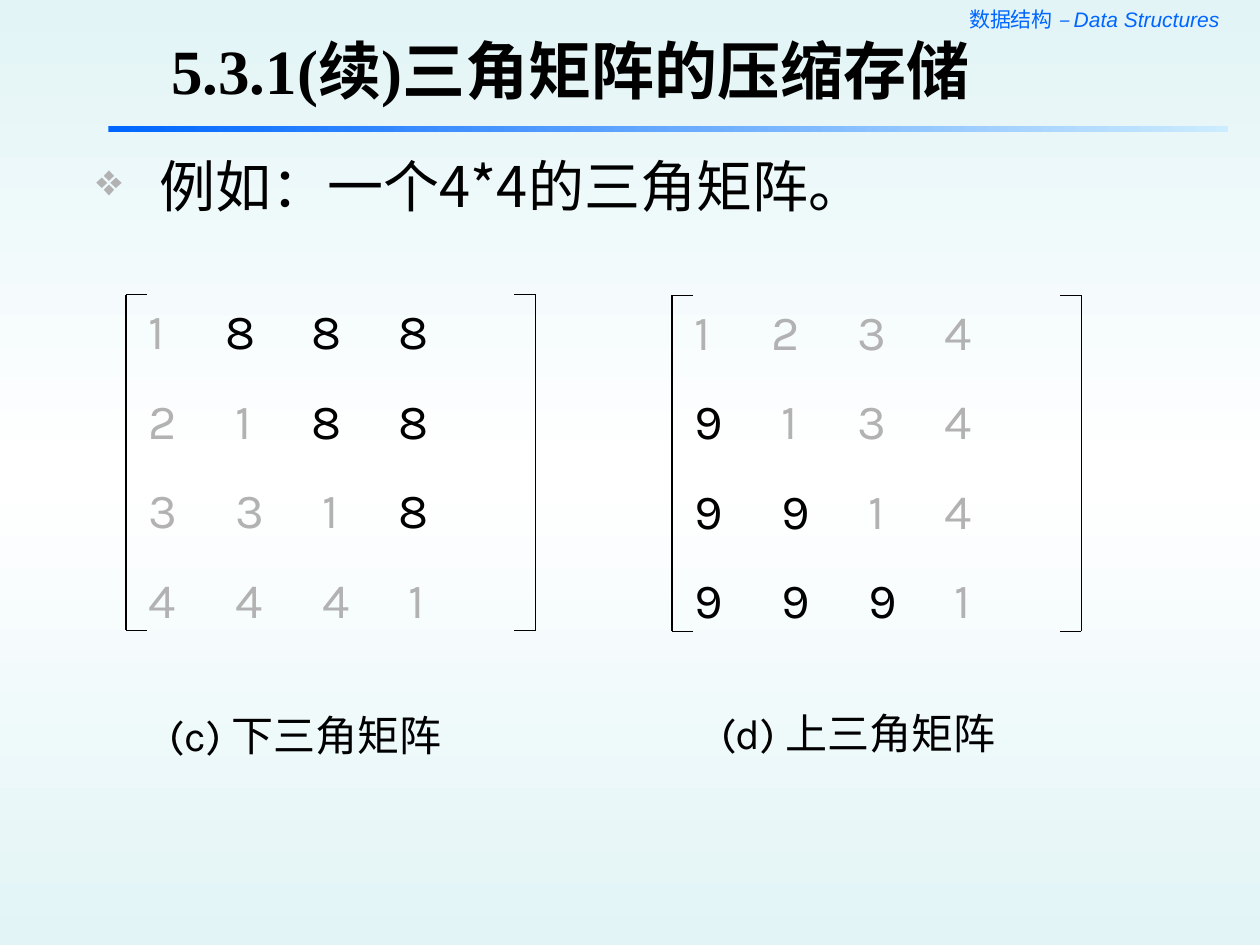
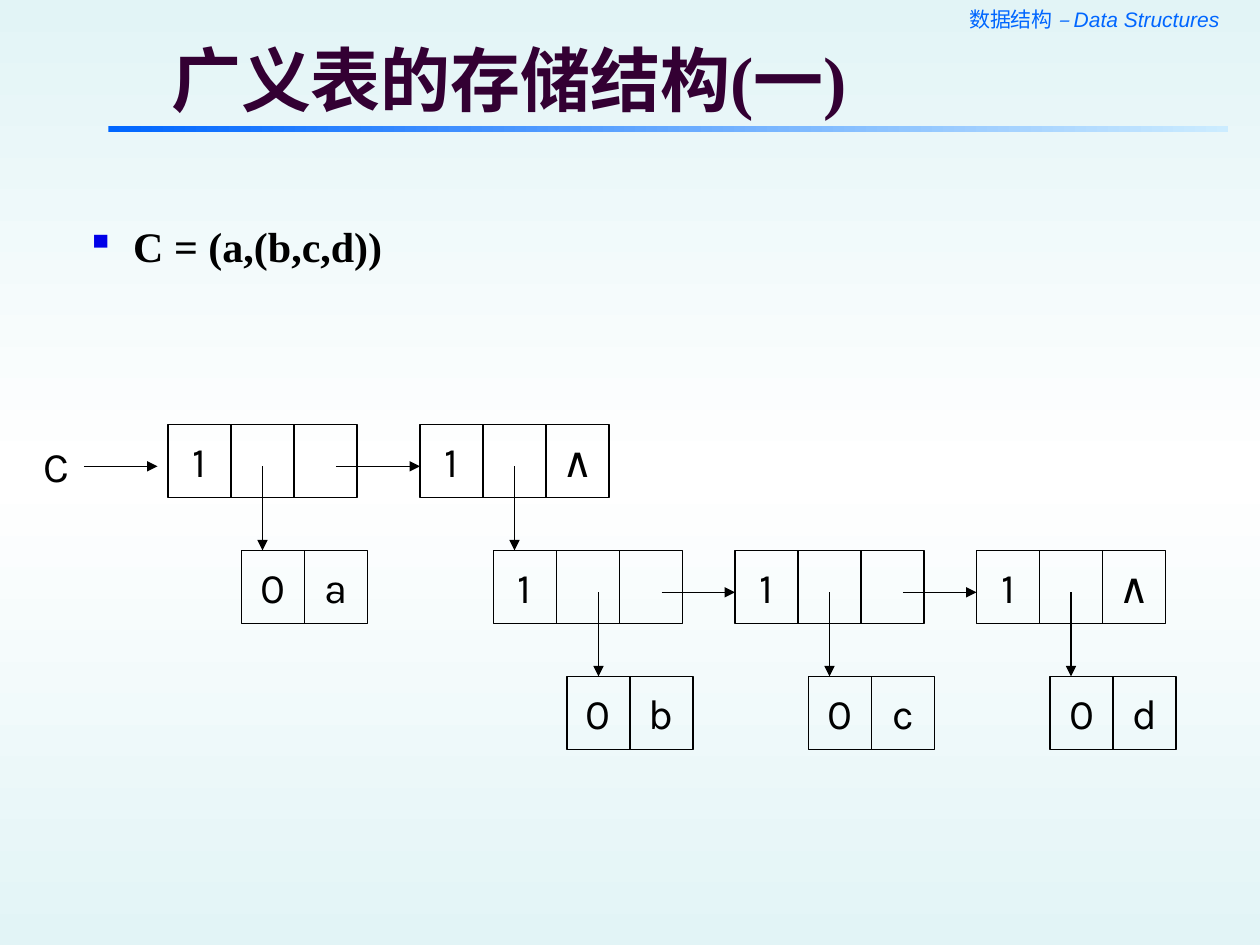
from copy import deepcopy

from lxml import etree
from pptx import Presentation
from pptx.dml.color import RGBColor
from pptx.enum.shapes import MSO_CONNECTOR, MSO_SHAPE
from pptx.enum.text import MSO_ANCHOR, PP_ALIGN
from pptx.oxml.ns import qn
from pptx.util import Pt

RECT, STRAIGHT = MSO_SHAPE.RECTANGLE, MSO_CONNECTOR.STRAIGHT
TOP, MIDDLE, BOTTOM = MSO_ANCHOR.TOP, MSO_ANCHOR.MIDDLE, MSO_ANCHOR.BOTTOM
LEFT, CENTER, RIGHT = PP_ALIGN.LEFT, PP_ALIGN.CENTER, PP_ALIGN.RIGHT

C = {"black": "000000", "gray": "B2B2B2", "blue": "0066FF", "sky": "CCECFF",
     "pale": "E2F4F6", "white": "FFFFFF", "plum": "330033", "bullet": "0000E8"}
SERIF, SANS, BODY, CJK = "Times New Roman", "Arial", "Karla", "Noto Sans CJK SC"


def rgb(name):
    return RGBColor.from_string(C[name])


def gradient(fill, colors, angle):
    fill.gradient()
    fill.gradient_angle = angle
    first = fill.gradient_stops[0]._gs
    for _ in colors[2:]:
        first.addnext(deepcopy(first))
    for i, (stop, color) in enumerate(zip(fill.gradient_stops, colors)):
        stop.position = i / (len(colors) - 1)
        stop.color.rgb = rgb(color)


def add_xml(parent, tag, **attrs):
    return etree.SubElement(parent, qn(tag), attrs)


class Deck:
    def __init__(self):
        self.prs = Presentation()
        self.prs.slide_width, self.prs.slide_height = Pt(720), Pt(540)
        gradient(self.prs.slide_master.background.fill, ["pale", "white", "pale"], 90)

    def slide(self, title, box, size, color, anchor):
        """Start a slide with its header, band and title."""
        self.s = self.prs.slides.add_slide(self.prs.slide_layouts[6])
        self.ungroup()
        tf = self.textbox(432, 0, 272, 21.6)
        p = self.paragraph(tf, align=RIGHT)
        self.run(p, "数据结构 ", 12, SERIF, "blue")
        self.run(p, "– Data Structures", 12, SANS, "blue", italic=True)
        band = self.shapes.add_shape(RECT, Pt(62), Pt(72), Pt(640), Pt(3.6))
        band.shadow.inherit = False
        band.line.fill.background()
        gradient(band.fill, ["blue", "sky"], 0)
        tf = self.textbox(*box, anchor=anchor)
        tf.margin_top = tf.margin_bottom = Pt(2.9)
        self.run(self.paragraph(tf), title, size, SERIF, color, bold=True)

    def group(self):
        self.shapes = self.s.shapes.add_group_shape().shapes

    def ungroup(self):
        self.shapes = self.s.shapes

    def textbox(self, x, y, w, h, anchor=TOP):
        tf = self.shapes.add_textbox(Pt(x), Pt(y), Pt(w), Pt(h)).text_frame
        tf.word_wrap = True
        tf.vertical_anchor = anchor
        return tf

    def paragraph(self, tf, align=LEFT, before=None):
        """Use the empty first paragraph, then add further ones."""
        p = tf.paragraphs[0]
        if p.runs:
            p = tf.add_paragraph()
            p.space_before = Pt(before)
        p.alignment = align
        return p

    def run(self, p, text, size, font, color, bold=False, italic=False):
        r = p.add_run()
        r.text = text
        f = r.font
        f.size, f.name, f.bold, f.italic = Pt(size), font, bold, italic
        f.color.rgb = rgb(color)
        add_xml(r._r.get_or_add_rPr(), "a:ea", typeface=CJK)

    def label(self, x, y, w, text):
        self.run(self.paragraph(self.textbox(x, y, w, 36)), text, 24, BODY, "black")

    def bullet(self, box, text, size, font, char, color, percent, indent, bold=False):
        p = self.paragraph(self.textbox(*box))
        pPr = p._p.get_or_add_pPr()
        pPr.set("marL", str(Pt(indent)))
        pPr.set("indent", str(-Pt(indent)))
        add_xml(add_xml(pPr, "a:buClr"), "a:srgbClr", val=C[color])
        add_xml(pPr, "a:buSzPct", val=str(percent * 1000))
        add_xml(pPr, "a:buChar", char=char)
        self.run(p, text, size, font, "black", bold)

    def line(self, x1, y1, x2, y2, arrow=False, target=None):
        """Draw a line; target is a cell whose top middle it joins."""
        c = self.shapes.add_connector(STRAIGHT, Pt(x1), Pt(y1), Pt(x2), Pt(y2))
        if target is not None:
            c.end_connect(target, 0)
        c.line.width = Pt(0.75)
        c.line.color.rgb = rgb("black")
        if arrow:
            add_xml(c.line._get_or_add_ln(), "a:tailEnd", type="triangle")
        add_xml(c._element.spPr, "a:effectLst")

    def matrix(self, x, y, rows, constant):
        """Bracketed digits; the constant half is black, the rest gray."""
        self.group()
        tf = self.textbox(x + 6, y, 234, 194)
        for row in rows:
            p = self.paragraph(tf, before=17.5)
            tabs = add_xml(p._p.get_or_add_pPr(), "a:tabLst")
            stop = 0
            for digit in row[:-1]:
                stop += 43.5 if digit == "1" else 49.5  # the 1 is narrower
                add_xml(tabs, "a:tab", pos=str(Pt(stop)), algn="l")
            for i, digit in enumerate(row):
                text = digit if i == len(row) - 1 else digit + "\t"
                self.run(p, text, 28, BODY, "black" if digit == constant else "gray")
        bottom = y + 192
        for side, tick in ((x, 12), (x + 234, -12)):
            self.line(side, y, side, bottom)
            for end in (y, bottom):
                self.line(side, end, side + tick, end)
        self.ungroup()

    def node(self, x, y, texts):
        """A row of cells, one per text."""
        cells = []
        for i, text in enumerate(texts):
            sp = self.shapes.add_shape(RECT, Pt(x + i * CELL_W), Pt(y), Pt(CELL_W), Pt(CELL_H))
            sp.shadow.inherit = False
            sp.fill.background()
            sp.line.color.rgb = rgb("black")
            sp.line.width = Pt(0.75)
            if text:
                tf = sp.text_frame
                tf.word_wrap = False
                tf.vertical_anchor = MIDDLE
                self.run(self.paragraph(tf, CENTER), text, 24, BODY, "black")
            cells.append(sp)
        return cells


CELL_W, CELL_H = 36, 42
ROW_Y = [242.5 + 72 * i for i in range(3)]
CHILD_DX = 42   # a child starts this far right of its parent
LINK_DY = 24    # links leave this far below the top of a node

deck = Deck()

# Slide 1: triangular matrices
deck.slide("5.3.1(续)三角矩阵的压缩存储", (90.7, 31, 507.6, 33), 36, "black", BOTTOM)
deck.matrix(72, 168.3, ["1888", "2188", "3318", "4441"], "8")
deck.matrix(384, 168.7, ["1234", "9134", "9914", "9991"], "9")
deck.label(90, 402, 180, "(c) 下三角矩阵")
deck.label(405, 400.5, 180, "(d) 上三角矩阵")
deck.bullet((48, 82.8, 660, 46), "例如：一个4*4的三角矩阵。", 32, CJK, "❖", "gray", 80, 36)

# Slide 2: linked storage of a generalized list
deck.slide("广义表的存储结构(一)", (90.7, 20.9, 593, 48), 40, "plum", MIDDLE)
deck.bullet((42, 122.4, 663, 54), "C = (a,(b,c,d))", 24, SERIF, "▪", "bullet", 95, 27, bold=True)
deck.group()
deck.label(18, 248.4, 30, "C")
deck.line(48, ROW_Y[0] + LINK_DY, 90, ROW_Y[0] + LINK_DY, arrow=True)

# x, row, x of the next node (None at the end), atom below (None for a sublist)
for x, row, next_x, atom in [(96, 0, 240, "a"), (240, 0, None, None),
                             (282, 1, 420, "b"), (420, 1, 558, "c"), (558, 1, None, "d")]:
    y, below = ROW_Y[row], ROW_Y[row + 1]
    link_y, down_x = y + LINK_DY, x + 1.5 * CELL_W
    deck.node(x, y, ["1", "", "" if next_x else "∧"])
    leaf = deck.node(x + CHILD_DX, below, ["0", atom]) if atom else None
    if atom == "b":
        deck.line(down_x + 6, link_y, down_x + 6, below, arrow=True, target=leaf[0])
    else:
        deck.line(down_x, link_y, down_x, below, arrow=True)
    if next_x:
        deck.line(x + 96, link_y, next_x, link_y, arrow=True)

deck.prs.save("out.pptx")
